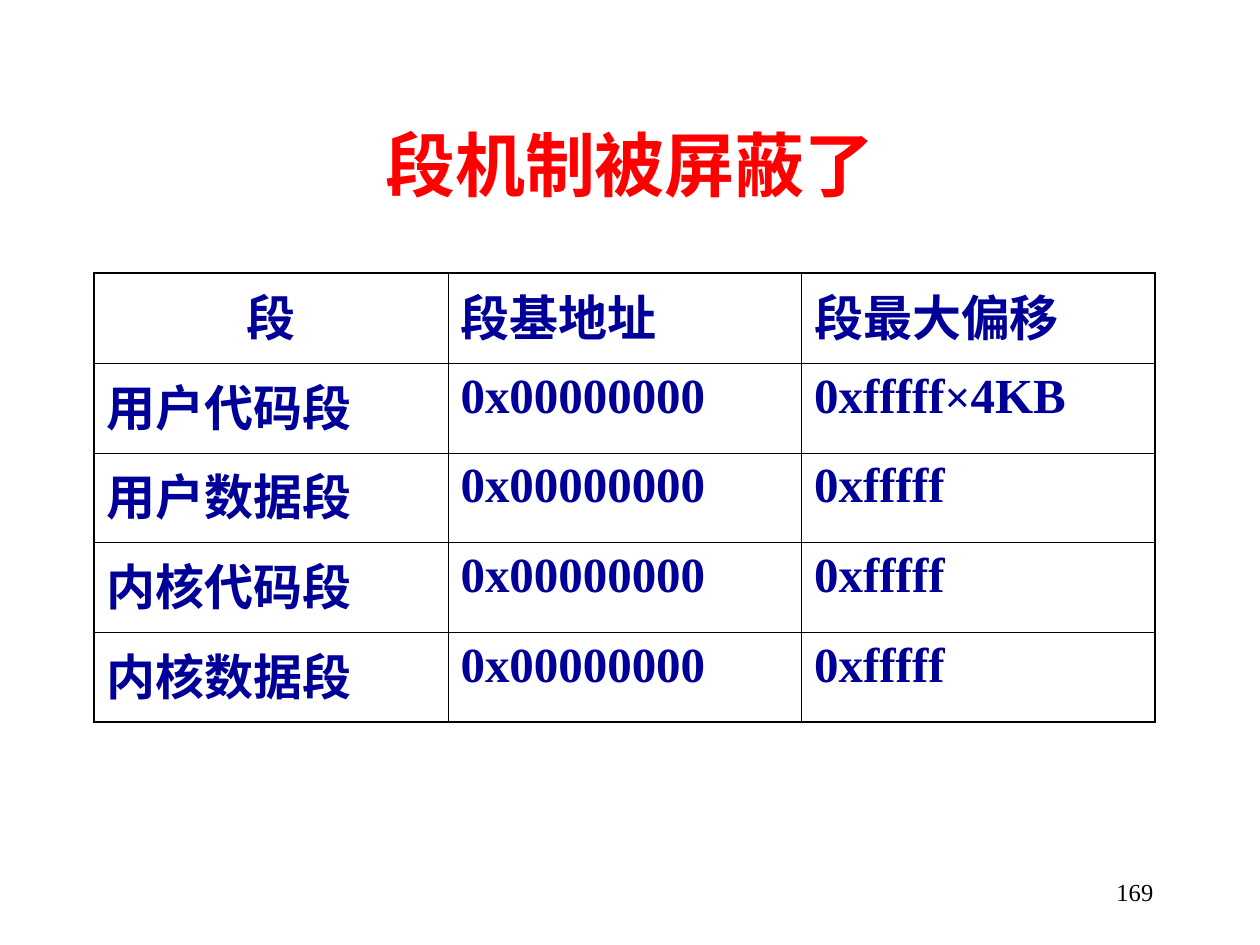
from dataclasses import dataclass

from lxml import etree
from pptx import Presentation
from pptx.dml.color import RGBColor
from pptx.enum.text import MSO_ANCHOR, PP_ALIGN
from pptx.oxml.ns import qn
from pptx.util import Cm, Pt

LEFT, CENTER, RIGHT = PP_ALIGN.LEFT, PP_ALIGN.CENTER, PP_ALIGN.RIGHT
MIDDLE = MSO_ANCHOR.MIDDLE


@dataclass(frozen=True)
class Theme:
    title_color: str = "FF0000"
    cell_color: str = "000099"
    ink: str = "000000"
    title_font: str = "Arial"
    body_font: str = "Times New Roman"
    title_size: int = 40
    cell_size: int = 28
    times_sign_size: int = 26
    number_size: int = 14
    outer_line: float = 1.08
    inner_line: float = 0.45


THEME = Theme()

SEGMENTS = [
    ["段", "段基地址", "段最大偏移"],
    ["用户代码段", "0x00000000", "0xfffff×4KB"],
    ["用户数据段", "0x00000000", "0xfffff"],
    ["内核代码段", "0x00000000", "0xfffff"],
    ["内核数据段", "0x00000000", "0xfffff"],
]
COLUMN_WIDTH, ROW_HEIGHT = 7.13, 1.81


def style_font(font, name, size, color, bold):
    font.name = name
    font.size = Pt(size)
    font.bold = bold
    font.color.rgb = RGBColor.from_string(color)


def add_label(slide, text, box, align, name, size, color, bold=False):
    frame = slide.shapes.add_textbox(*(Cm(v) for v in box)).text_frame
    frame.word_wrap = True
    frame.vertical_anchor = MIDDLE
    frame.text = text
    line = frame.paragraphs[0]
    line.alignment = align
    style_font(line.runs[0].font, name, size, color, bold)


def set_borders(cell, widths):
    """Draw the left, right, top and bottom borders, ahead of the fill."""
    properties = cell._tc.get_or_add_tcPr()
    for position, (side, width) in enumerate(zip("LRTB", widths)):
        border = etree.Element(qn(f"a:ln{side}"), w=str(Pt(width)))
        fill = etree.SubElement(border, qn("a:solidFill"))
        etree.SubElement(fill, qn("a:srgbClr"), val=THEME.ink)
        properties.insert(position, border)


def fill_cell(cell, text, align):
    cell.fill.background()
    line = cell.text_frame.paragraphs[0]
    line.alignment = align
    # The multiplication sign is a run of its own, slightly smaller
    for part in text.replace("×", "|×|").split("|"):
        run = line.add_run()
        run.text = part
        size = THEME.times_sign_size if part == "×" else THEME.cell_size
        style_font(run.font, THEME.body_font, size, THEME.cell_color, True)


def add_segment_table(slide, left, top):
    row_count, column_count = len(SEGMENTS), len(SEGMENTS[0])
    table = slide.shapes.add_table(
        row_count, column_count, Cm(left), Cm(top),
        Cm(COLUMN_WIDTH * column_count), Cm(ROW_HEIGHT * row_count)).table
    table.first_row = table.horz_banding = False
    for column in table.columns:
        column.width = Cm(COLUMN_WIDTH)
    for r, segment in enumerate(SEGMENTS):
        table.rows[r].height = Cm(ROW_HEIGHT)
        for c, text in enumerate(segment):
            cell = table.cell(r, c)
            fill_cell(cell, text, CENTER if r == c == 0 else LEFT)
            on_edge = (c == 0, c == column_count - 1, r == 0, r == row_count - 1)
            set_borders(cell, [THEME.outer_line if edge else THEME.inner_line
                               for edge in on_edge])


def main():
    deck = Presentation()
    deck.slide_width, deck.slide_height = Cm(25.4), Cm(19.05)
    slide = deck.slides.add_slide(deck.slide_layouts[6])

    # Page number
    add_label(slide, "169", (18.2, 17.35, 5.3, 1.27), RIGHT,
              THEME.body_font, THEME.number_size, THEME.ink)
    # Title
    add_label(slide, "段机制被屏蔽了", (1.9, 1.7, 21.6, 3.18), CENTER,
              THEME.title_font, THEME.title_size, THEME.title_color, bold=True)
    # Segment bases and limits
    add_segment_table(slide, 1.9, 5.51)

    deck.save("out.pptx")


if __name__ == "__main__":
    main()
